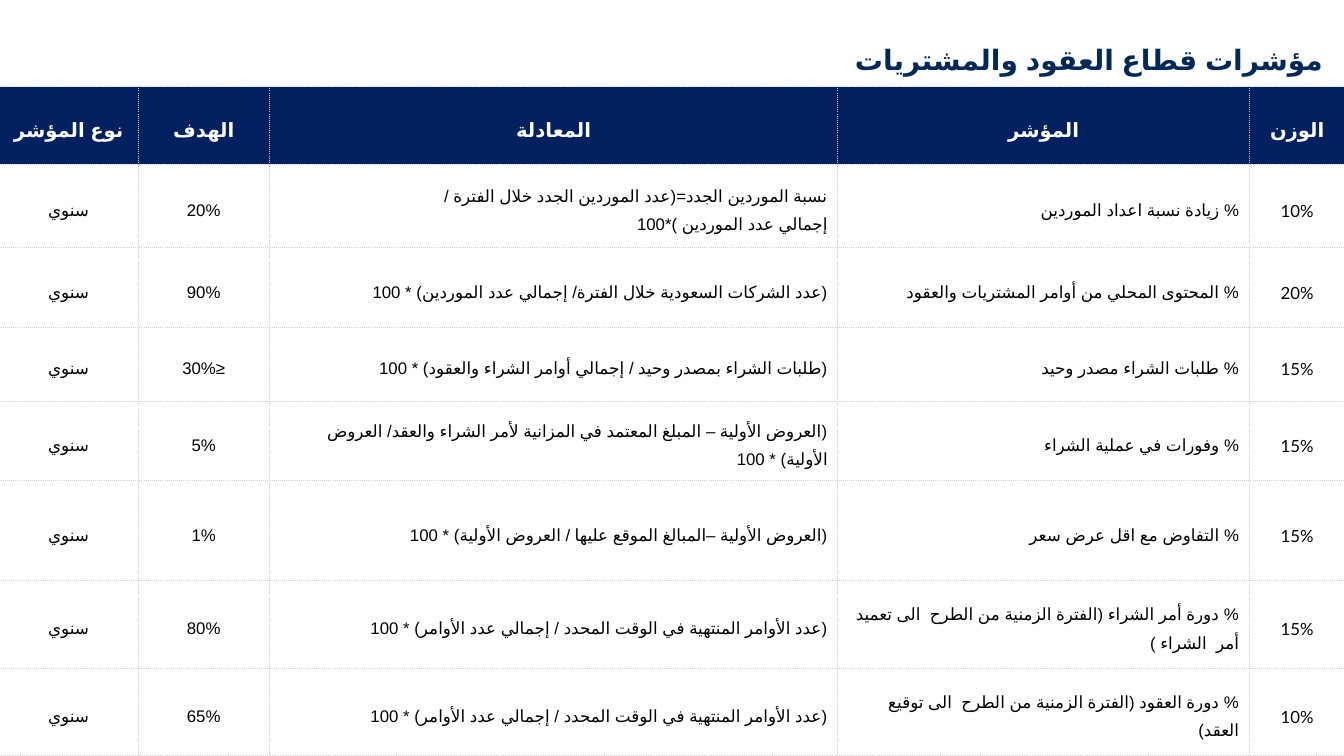
"""Builds the slide of contracts and procurement indicators."""
from lxml import etree
from pptx import Presentation
from pptx.dml.color import RGBColor
from pptx.enum.text import MSO_ANCHOR, PP_ALIGN
from pptx.oxml.ns import qn
from pptx.util import Inches, Pt

CENTER, RIGHT = PP_ALIGN.CENTER, PP_ALIGN.RIGHT
MIDDLE = MSO_ANCHOR.MIDDLE
FONT, ARABIC_FONT, ARABIC = "Lato", "Arial", "ar-SA"
NAVY, TITLE_BLUE, GRID_GRAY = "002060", "002959", "D0CECE"
BLACK, WHITE = "000000", "FFFFFF"
NO_BREAK_SPACE = chr(160)

TITLE = "مؤشرات قطاع العقود والمشتريات"
HEADERS = ["نوع المؤشر", "الهدف", "المعادلة", "المؤشر", "الوزن"]
PERIOD = "سنوي"
NEW_SUPPLIERS = "نسبة الموردين الجدد=(عدد الموردين الجدد خلال الفترة".replace(" ", NO_BREAK_SPACE)
ALL_SUPPLIERS = "إجمالي عدد الموردين".replace(" ", NO_BREAK_SPACE)
ORDERS_ON_TIME = "(عدد الأوامر المنتهية في الوقت المحدد / إجمالي عدد الأوامر) * 100"
INDICATORS = [
    ("20%", f"{NEW_SUPPLIERS} / {ALL_SUPPLIERS} )*100",
     "% زيادة نسبة اعداد الموردين", "10%"),
    ("90%", "(عدد الشركات السعودية خلال الفترة/ إجمالي عدد الموردين) * 100",
     "% المحتوى المحلي من أوامر المشتريات والعقود ", "20%"),
    ("≤30%", "(طلبات الشراء بمصدر وحيد / إجمالي أوامر الشراء والعقود) * 100 ",
     "% طلبات الشراء مصدر وحيد", "15%"),
    ("5%", "(العروض الأولية – المبلغ المعتمد في المزانية لأمر الشراء والعقد/ العروض الأولية) * 100",
     "% وفورات في عملية الشراء", "15%"),
    ("1%", "(العروض الأولية –المبالغ الموقع عليها / العروض الأولية) * 100",
     "% التفاوض مع اقل عرض سعر", "15%"),
    ("80%", ORDERS_ON_TIME,
     "% دورة أمر الشراء (الفترة الزمنية من الطرح  الى تعميد أمر  الشراء )", "15%"),
    ("65%", ORDERS_ON_TIME,
     "% دورة العقود (الفترة الزمنية من الطرح  الى توقيع العقد)", "10%"),
]
COLUMN_WIDTHS = [1.38, 1.3, 5.64, 4.08, 0.95]
ROW_HEIGHTS = [0.77, 0.83, 0.79, 0.73, 0.79, 0.99, 0.87, 0.87]
COLUMN_ALIGNMENTS = [CENTER, CENTER, RIGHT, RIGHT, CENTER]
WEIGHT_COLUMN = len(HEADERS) - 1


def rgb(value):
    return RGBColor.from_string(value)


def write(text_frame, text, size, color, bold, alignment, right_to_left):
    paragraph = text_frame.paragraphs[0]
    paragraph.alignment = alignment
    paragraph.line_spacing = 1.5
    if right_to_left:
        paragraph._p.get_or_add_pPr().set("rtl", "1")
    run = paragraph.add_run()
    run.text = text
    run.font.name = FONT
    run.font.size = Pt(size)
    run.font.bold = bold
    run.font.color.rgb = rgb(color)
    properties = run._r.get_or_add_rPr()
    properties.set("lang", ARABIC)
    etree.SubElement(properties, qn("a:cs"), typeface=ARABIC_FONT)


def add_borders(cell):
    properties = cell._tc.get_or_add_tcPr()
    for side in ("lnL", "lnR", "lnT", "lnB"):
        line = etree.SubElement(properties, qn(f"a:{side}"), w=str(Pt(0.75)))
        fill = etree.SubElement(line, qn("a:solidFill"))
        etree.SubElement(fill, qn("a:srgbClr"), val=GRID_GRAY)
        etree.SubElement(line, qn("a:prstDash"), val="sysDot")


def add_title(slide):
    box = slide.shapes.add_textbox(Inches(6.55), Inches(0.23), Inches(6.67), Inches(0.56))
    box.text_frame.word_wrap = True
    box.text_frame.vertical_anchor = MIDDLE
    write(box.text_frame, TITLE, 20, TITLE_BLUE, True, RIGHT, True)


def fill_cell(cell, text, row, column):
    is_header = row == 0
    is_weight = column == WEIGHT_COLUMN and not is_header
    cell.vertical_anchor = MIDDLE
    add_borders(cell)
    cell.fill.solid()
    cell.fill.fore_color.rgb = rgb(NAVY if is_header else WHITE)
    if is_weight:
        cell.margin_left = cell.margin_right = cell.margin_top = cell.margin_bottom = 0
    if is_header:
        write(cell.text_frame, text, 14, WHITE, True, CENTER, False)
    else:
        write(cell.text_frame, text, 12, BLACK, False, COLUMN_ALIGNMENTS[column], not is_weight)


def add_indicator_table(slide):
    rows = [HEADERS] + [(PERIOD, *indicator) for indicator in INDICATORS]
    table = slide.shapes.add_table(
        len(rows), len(HEADERS), Inches(-0.01), Inches(0.86),
        Inches(sum(COLUMN_WIDTHS)), Inches(sum(ROW_HEIGHTS))).table
    table.horz_banding = False
    for column, width in zip(table.columns, COLUMN_WIDTHS):
        column.width = Inches(width)
    for row, height in zip(table.rows, ROW_HEIGHTS):
        row.height = Inches(height)
    for row, texts in enumerate(rows):
        for column, text in enumerate(texts):
            fill_cell(table.cell(row, column), text, row, column)


def main():
    presentation = Presentation()
    presentation.slide_width = Inches(13.33)
    presentation.slide_height = Inches(7.5)
    slide = presentation.slides.add_slide(presentation.slide_layouts[6])
    add_title(slide)
    add_indicator_table(slide)
    presentation.save("out.pptx")


if __name__ == "__main__":
    main()
